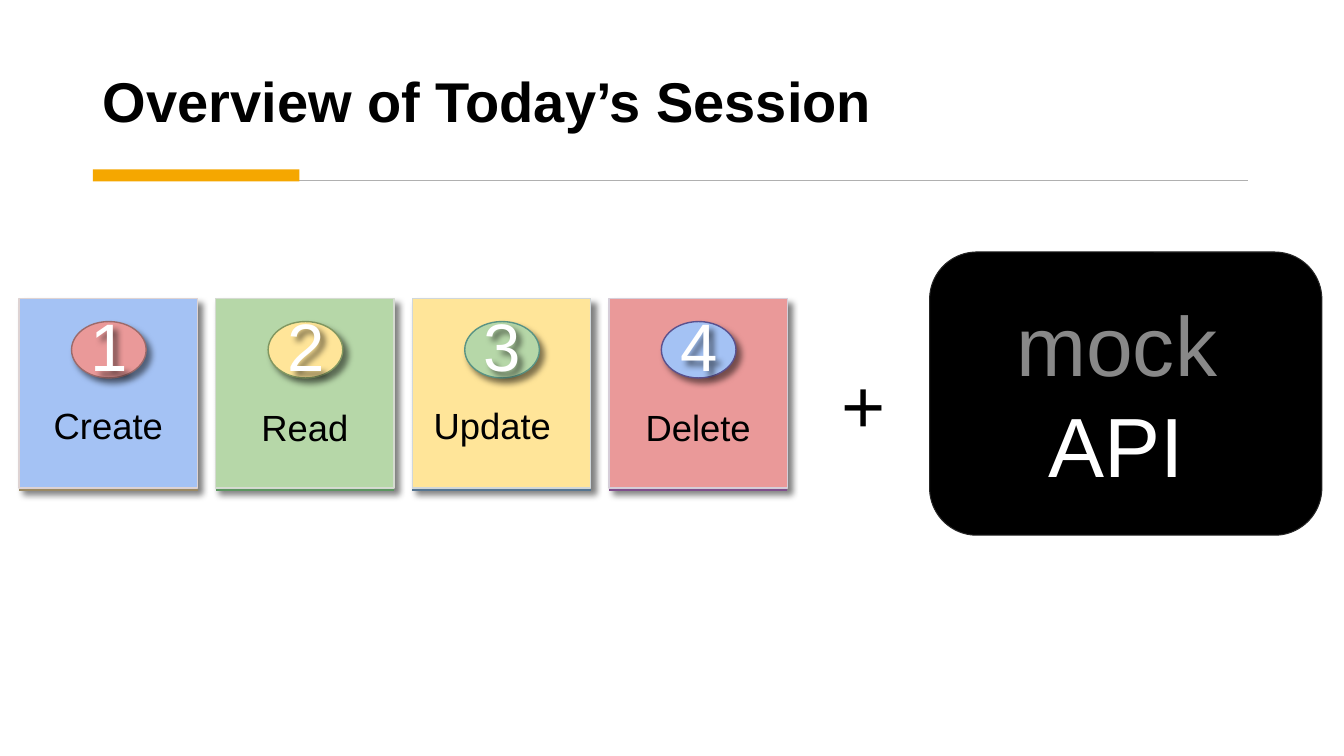
from lxml import etree
from pptx import Presentation
from pptx.dml.color import RGBColor
from pptx.enum.shapes import MSO_CONNECTOR, MSO_SHAPE
from pptx.enum.text import MSO_ANCHOR, MSO_AUTO_SIZE, PP_ALIGN
from pptx.oxml import parse_xml
from pptx.util import Inches, Pt

RECT, OVAL, ROUNDED = MSO_SHAPE.RECTANGLE, MSO_SHAPE.OVAL, MSO_SHAPE.ROUNDED_RECTANGLE
STRAIGHT = MSO_CONNECTOR.STRAIGHT
TOP, MIDDLE, BOTTOM = MSO_ANCHOR.TOP, MSO_ANCHOR.MIDDLE, MSO_ANCHOR.BOTTOM
LEFT, CENTER = PP_ALIGN.LEFT, PP_ALIGN.CENTER

BLACK = RGBColor(0x00, 0x00, 0x00)
WHITE = RGBColor(0xFF, 0xFF, 0xFF)
GREY = RGBColor(0x88, 0x88, 0x88)
RULE_GREY = RGBColor(0xB0, 0xB0, 0xB0)
PANEL_EDGE = RGBColor(0x26, 0x26, 0x26)
ORANGE = RGBColor(0xF5, 0xA7, 0x00)
BLUE = RGBColor(0xA4, 0xC2, 0xF4)
GREEN = RGBColor(0xB6, 0xD7, 0xA8)
YELLOW = RGBColor(0xFF, 0xE5, 0x99)
RED = RGBColor(0xEA, 0x99, 0x99)

A_NS = "http://schemas.openxmlformats.org/drawingml/2006/main"
SHADOW = (
    f'<a:effectLst xmlns:a="{A_NS}"><a:outerShdw blurRad="57150" dist="57150" dir="2880000">'
    '<a:srgbClr val="000000"><a:alpha val="50000"/></a:srgbClr></a:outerShdw></a:effectLst>'
)


def add_block(parent, kind, box, fill, edge=None, width=1, shadow=False):
    block = parent.shapes.add_shape(kind, *map(Inches, box))
    block.fill.solid()
    block.fill.fore_color.rgb = fill
    if edge is None:
        block.line.fill.background()
    else:
        block.line.color.rgb = edge
        block.line.width = Pt(width)
    if shadow:
        block._element.spPr.append(parse_xml(SHADOW))
    else:
        block.shadow.inherit = False
    return block


def write(holder, lines, size, insets, align=CENTER, anchor=TOP, spacing=1.0, bold=False):
    frame = holder.text_frame
    frame.word_wrap = True
    frame.auto_size = MSO_AUTO_SIZE.NONE
    frame.vertical_anchor = anchor
    frame.margin_left = frame.margin_right = Inches(insets[0])
    frame.margin_top = frame.margin_bottom = Inches(insets[1])
    paragraph = frame.paragraphs[0]
    paragraph.alignment = align
    paragraph.line_spacing = spacing
    for index, (text, color) in enumerate(lines):
        if index:
            paragraph.add_line_break()
        run = paragraph.add_run()
        run.text = text
        run.font.name = "Arial"
        run.font.size = Pt(size)
        run.font.bold = bold
        run.font.color.rgb = color


deck = Presentation()
deck.slide_width, deck.slide_height = Inches(13.33), Inches(7.5)
slide = deck.slides.add_slide(deck.slide_layouts[5])

# Title with its rule and accent
title = slide.shapes.title
title.left, title.top, title.width, title.height = map(Inches, (0.92, 0.28, 11.49, 1.11))
write(title, [("Overview of Today’s Session", BLACK)], 40, (0.1, 0.05), LEFT, BOTTOM, 0.9, True)

rule = slide.shapes.add_connector(STRAIGHT, *map(Inches, (0.95, 1.79, 12.38, 1.79)))
rule.line.color.rgb = RULE_GREY
rule.line.width = Pt(1.25)
etree.SubElement(rule._element.spPr, f"{{{A_NS}}}effectLst")
add_block(slide, RECT, (0.92, 1.68, 2.05, 0.12), ORANGE)

# Four operation cards: name, card, card edge, badge, badge edge, base line, label top, alignment
operations = [
    ("Create", BLUE, "DED3D3", RED, "9C6A6A", "9A8964", 3.69, CENTER),
    ("Read", GREEN, "D5DBD1", YELLOW, "819760", "5C9660", 3.71, CENTER),
    ("Update", YELLOW, "D0D7DA", GREEN, "599384", "567590", 3.69, LEFT),
    ("Delete", RED, "D6CED9", BLUE, "5A518E", "804E8B", 3.71, CENTER),
]
CARD_WIDTH, CARD_STEP = 1.77, 1.95
cards = slide.shapes.add_group_shape()
for index, (name, fill, edge, badge, badge_edge, base, label_top, align) in enumerate(operations):
    left = 0.19 + index * CARD_STEP
    add_block(cards, RECT, (left, 2.96, CARD_WIDTH, 1.88), fill,
              RGBColor.from_string(edge), shadow=True)

    base_line = cards.shapes.add_connector(
        STRAIGHT, *map(Inches, (left, 4.86, left + CARD_WIDTH, 4.86)))
    base_line.line.color.rgb = RGBColor.from_string(base)
    base_line.line.width = Pt(1)
    base_line._element.spPr.append(parse_xml(SHADOW))

    label = cards.shapes.add_textbox(*map(Inches, (left, label_top, CARD_WIDTH, 1.12)))
    write(label, [(name, BLACK)], 26, (0.21, 0.36), align, spacing=0.9)

    add_block(cards, OVAL, (left + 0.52, 3.19, 0.74, 0.56), badge,
              RGBColor.from_string(badge_edge), shadow=True)
    number = cards.shapes.add_textbox(*map(Inches, (left + 0.62, 3.27, 0.53, 0.39)))
    number._element.spPr.append(parse_xml(SHADOW))
    write(number, [(str(index + 1), WHITE)], 48, (0.09, 0.01), CENTER, MIDDLE, 0.9)

# Mock API panel
api = slide.shapes.add_group_shape()
panel = add_block(api, ROUNDED, (9.22, 2.5, 3.89, 2.81), BLACK, PANEL_EDGE, 0.75)
panel.adjustments[0] = 0.167
api_text = api.shapes.add_textbox(*map(Inches, (9.42, 2.8, 3.31, 2.22)))
write(api_text, [("mock", GREY), ("API", WHITE)], 60, (0.1, 0.1))

# Plus sign between the cards and the panel
plus = slide.shapes.add_textbox(*map(Inches, (8.14, 3.45, 0.85, 1.11)))
write(plus, [("+", BLACK)], 54, (0.1, 0.1))

deck.save("out.pptx")
